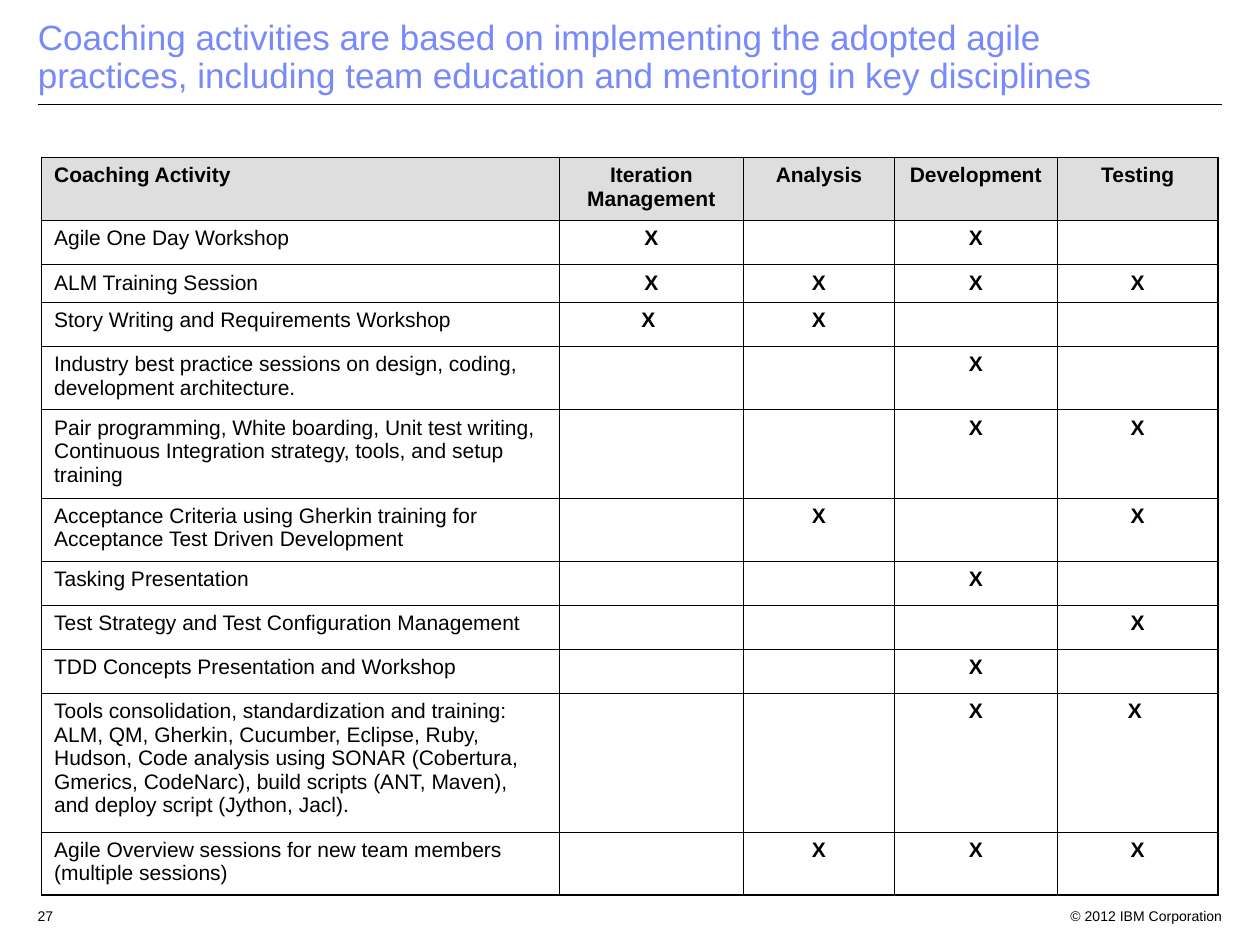
from lxml.etree import SubElement
from pptx import Presentation
from pptx.dml.color import RGBColor
from pptx.enum.shapes import MSO_CONNECTOR
from pptx.enum.text import MSO_ANCHOR, MSO_AUTO_SIZE, PP_ALIGN as AL
from pptx.oxml.ns import qn
from pptx.util import Inches, Pt

# Content
TITLE = ("Coaching activities are based on implementing the adopted agile "
         "practices, including team education and mentoring in key disciplines")
HEADERS = ("Coaching Activity", "Iteration Management", "Analysis",
           "Development", "Testing")
# Activity, marks per discipline, row height
ACTIVITIES = [
    ("Agile One Day Workshop", ("X", "", "X", ""), 0.35),
    ("ALM Training Session", ("X", "X", "X", "X"), 0.3),
    ("Story Writing and Requirements Workshop", ("X ", "X", "", ""), 0.35),
    ("Industry best practice sessions on design, coding, development "
     "architecture.", ("", "", "X", ""), 0.5),
    ("Pair programming, White boarding, Unit test writing, Continuous "
     "Integration strategy, tools, and setup training",
     ("", "", "X", "X"), 0.7),
    ("Acceptance Criteria using Gherkin training for Acceptance Test Driven "
     "Development", ("", "X", "", "X"), 0.5),
    ("Tasking Presentation", ("", "", "X", ""), 0.35),
    ("Test Strategy and Test Configuration Management",
     ("", "", "", "X"), 0.35),
    ("TDD Concepts Presentation and Workshop", ("", "", "X", ""), 0.35),
    ("Tools consolidation, standardization and training: ALM, QM, Gherkin, "
     "Cucumber, Eclipse, Ruby, Hudson, Code analysis using SONAR (Cobertura, "
     "Gmerics, CodeNarc), build scripts (ANT, Maven), and deploy script "
     "(Jython, Jacl).", ("", "", "X", "X "), 1.1),
    ("Agile Overview sessions for new team members (multiple sessions)",
     ("", "X", "X", "X"), 0.5),
]
HEADER_HEIGHT = 0.5
COL_WIDTHS = (4.11, 1.46, 1.2, 1.29, 1.28)
# Text, left, width, alignment
FOOTERS = [("© 2012 IBM Corporation", 8.3, 1.5, AL.RIGHT),
           ("27", 0.2, 0.4, AL.LEFT)]

THEME = {
    "font": "Arial", "title": "7889FB", "ink": "000000", "header": "BEBEBE",
    "title_size": 20, "table_size": 12, "footer_size": 8,
    "outer": 1.08, "inner": 0.45, "rule": 0.75,
}


# Text and cell formatting
def write(p, text, size, color, bold=False, align=AL.LEFT):
    p.alignment = align
    if not text:
        SubElement(p._p, qn("a:endParaRPr"), sz=str(size * 100))
        return
    r = p.add_run()
    r.text = text
    fmt = {"name": THEME["font"], "size": Pt(size), "bold": bold}
    for key, value in fmt.items():
        setattr(r.font, key, value)
    r.font.color.rgb = RGBColor.from_string(color)


def set_borders(cell, outer_sides):
    tcPr = cell._tc.get_or_add_tcPr()
    for side in "LRTB":
        width = THEME["outer" if side in outer_sides else "inner"]
        ln = SubElement(tcPr, qn(f"a:ln{side}"), w=str(Pt(width)))
        fill = SubElement(ln, qn("a:solidFill"))
        SubElement(fill, qn("a:srgbClr"), val=THEME["ink"])


def set_fill(cell, is_header):
    if not is_header:
        cell.fill.background()
        return
    cell.fill.solid()
    cell.fill.fore_color.rgb = RGBColor.from_string(THEME["header"])
    color = cell._tc.tcPr.find(f"{qn('a:solidFill')}/{qn('a:srgbClr')}")
    SubElement(color, qn("a:alpha"), val="50000")


# Slide parts
def add_title(s):
    sp = s.shapes.title
    sp.left, sp.top = Inches(0.2), Inches(-0.08)
    sp.width, sp.height = Inches(8.88), Inches(0.89)
    tf = sp.text_frame
    tf.word_wrap, tf.auto_size = True, MSO_AUTO_SIZE.NONE
    tf.vertical_anchor = MSO_ANCHOR.BOTTOM
    p = tf.paragraphs[0]
    p.line_spacing = 0.9
    write(p, TITLE, THEME["title_size"], THEME["title"])


def add_rule(s):
    line = s.shapes.add_connector(MSO_CONNECTOR.STRAIGHT, Inches(0.3),
                                  Inches(0.83), Inches(9.7), Inches(0.83))
    line.line.color.rgb = RGBColor.from_string(THEME["ink"])
    line.line.width = Pt(THEME["rule"])
    SubElement(line._element.spPr, qn("a:effectLst"))


def add_footers(s):
    for text, left, width, align in FOOTERS:
        sp = s.shapes.add_textbox(Inches(left), Inches(7.15),
                                  Inches(width), Inches(0.2))
        sp.text_frame.word_wrap = True
        write(sp.text_frame.paragraphs[0], text, THEME["footer_size"],
              THEME["ink"], align=align)


def add_activity_table(s):
    rows = [HEADERS] + [(name, *marks) for name, marks, _ in ACTIVITIES]
    heights = [HEADER_HEIGHT] + [height for _, _, height in ACTIVITIES]
    last_row, last_col = len(rows) - 1, len(HEADERS) - 1
    table = s.shapes.add_table(
        len(rows), len(HEADERS), Inches(0.33), Inches(1.25),
        Inches(sum(COL_WIDTHS)), Inches(sum(heights))).table
    table.first_row = table.horz_banding = False
    for col, width in zip(table.columns, COL_WIDTHS):
        col.width = Inches(width)
    for row, height in zip(table.rows, heights):
        row.height = Inches(height)

    for i, texts in enumerate(rows):
        for j, text in enumerate(texts):
            cell = table.cell(i, j)
            edges = {"L": j == 0, "R": j == last_col,
                     "T": i == 0, "B": i == last_row}
            set_borders(cell, [side for side, on in edges.items() if on])
            set_fill(cell, i == 0)
            write(cell.text_frame.paragraphs[0], text, THEME["table_size"],
                  THEME["ink"], bold=i == 0 or j > 0,
                  align=AL.CENTER if j else AL.LEFT)


def main():
    prs = Presentation()
    prs.slide_width, prs.slide_height = Inches(10), Inches(7.5)
    s = prs.slides.add_slide(prs.slide_layouts[5])
    add_rule(s)
    add_footers(s)
    add_title(s)
    add_activity_table(s)
    prs.save("out.pptx")


if __name__ == "__main__":
    main()
